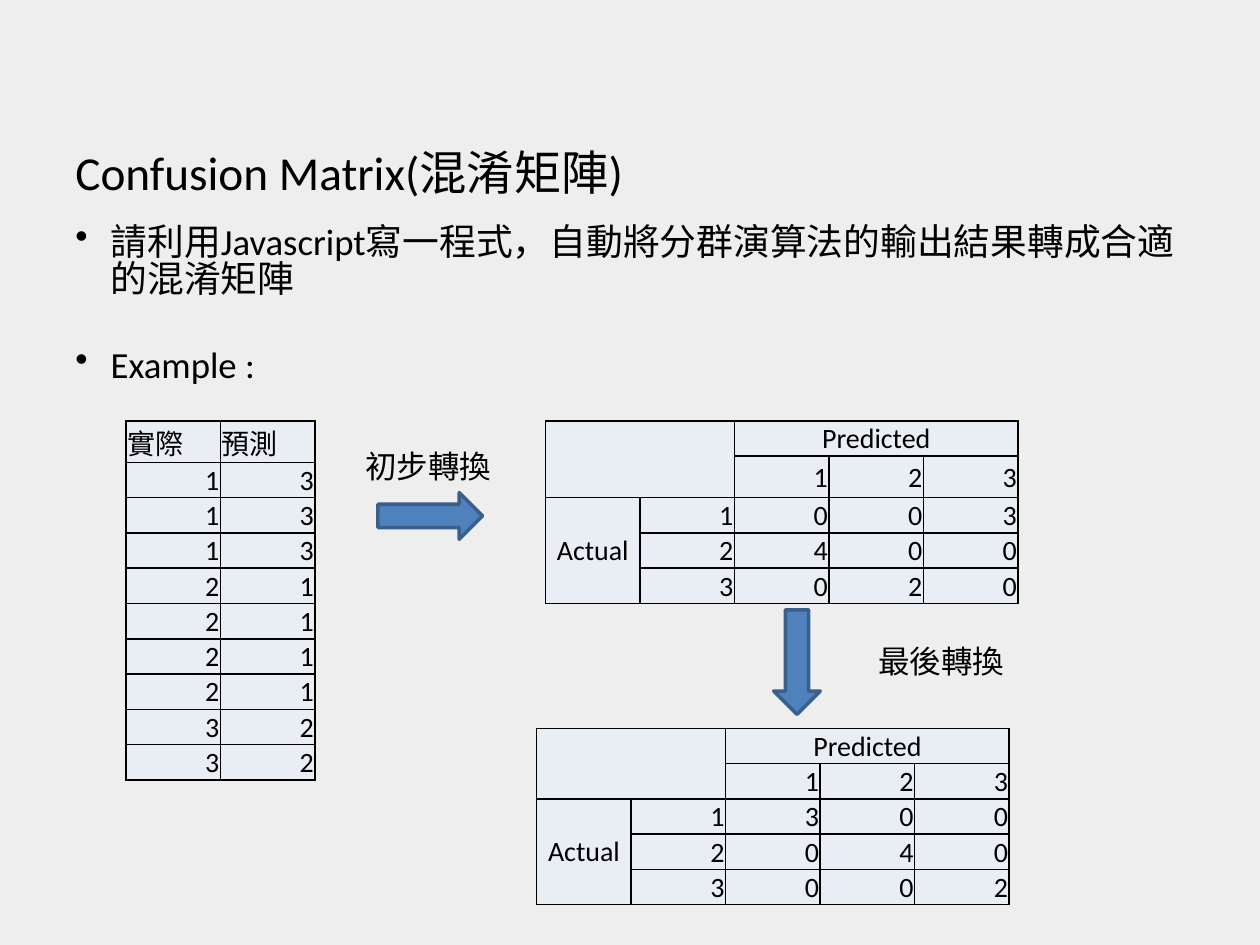
from lxml import etree
from pptx import Presentation
from pptx.dml.color import RGBColor
from pptx.enum.shapes import MSO_SHAPE
from pptx.enum.text import MSO_ANCHOR, PP_ALIGN
from pptx.oxml.ns import qn
from pptx.util import Inches, Pt

COLORS = {"background": "EEEEEE", "text": "000000", "cell": "E9EDF4",
          "border": "000000", "arrow": "4F81BD", "outline": "3A5F8C"}
COLUMN_WIDTH = 0.75
ROW_HEIGHT = 0.28
TALL_ROW = 0.33


def rgb(name):
    """Return the named colour."""
    return RGBColor.from_string(COLORS[name])


class Deck:
    """Holds the style and the current slide."""

    font = "Calibri"

    def __init__(self):
        """Start a presentation with one blank slide."""
        self.presentation = Presentation()
        self.presentation.slide_width = Inches(10)
        self.presentation.slide_height = Inches(7.5)
        self.slide = self.presentation.slides.add_slide(self.presentation.slide_layouts[6])
        background = self.slide.background.fill
        background.solid()
        background.fore_color.rgb = rgb("background")

    def style(self, paragraph, size, align=PP_ALIGN.LEFT):
        """Apply font, size, colour and alignment to a paragraph."""
        paragraph.alignment = align
        for font in [paragraph.font] + [run.font for run in paragraph.runs]:
            font.name, font.size = self.font, Pt(size)
            font.color.rgb = rgb("text")

    def text(self, box, content, size, anchor=MSO_ANCHOR.TOP, wrap=True):
        """Add a text box and return its paragraphs."""
        frame = self.slide.shapes.add_textbox(*map(Inches, box)).text_frame
        frame.word_wrap = wrap
        frame.vertical_anchor = anchor
        frame.text = content
        for paragraph in frame.paragraphs:
            self.style(paragraph, size)
        return frame.paragraphs

    def bullets(self, box, items, size, gap):
        """Add a bulleted list with a gap between its items."""
        for index, paragraph in enumerate(self.text(box, "\n".join(items), size)):
            paragraph.line_spacing = 0.83
            paragraph.space_before = Pt(gap if index else 0)
            properties = paragraph._p.get_or_add_pPr()
            properties.set("marL", str(Inches(0.28)))
            properties.set("indent", str(Inches(-0.28)))
            bullet = etree.Element(qn("a:buChar"), char="•")
            properties.insert_element_before(bullet, "a:tabLst", "a:defRPr", "a:extLst")

    def arrow(self, box, rotation=0):
        """Add a block arrow."""
        arrow = self.slide.shapes.add_shape(MSO_SHAPE.RIGHT_ARROW, *map(Inches, box))
        arrow.rotation = rotation
        arrow.shadow.inherit = False
        arrow.fill.solid()
        arrow.fill.fore_color.rgb = rgb("arrow")
        arrow.line.color.rgb = rgb("outline")
        arrow.line.width = Pt(2)

    def border(self, cell):
        """Draw the four borders of a cell."""
        properties = cell._tc.get_or_add_tcPr()
        for index, side in enumerate(("a:lnL", "a:lnR", "a:lnT", "a:lnB")):
            line = etree.Element(qn(side), w=str(Pt(1)))
            fill = etree.SubElement(line, qn("a:solidFill"))
            etree.SubElement(fill, qn("a:srgbClr"), val=COLORS["border"])
            properties.insert(index, line)

    def table(self, left, top, rows, heights, merges=()):
        """Add a bordered table; numbers align right, merged labels centre."""
        table = self.slide.shapes.add_table(
            len(rows), len(rows[0]), Inches(left), Inches(top),
            Inches(COLUMN_WIDTH * len(rows[0])), Inches(sum(heights))).table
        for column in table.columns:
            column.width = Inches(COLUMN_WIDTH)
        for row, height, values in zip(table.rows, heights, rows):
            row.height = Inches(height)
            for cell, value in zip(row.cells, values):
                cell.text = str(value)
                cell.margin_left = cell.margin_right = cell.margin_top = Inches(0.01)
                cell.margin_bottom = 0
                cell.vertical_anchor = MSO_ANCHOR.MIDDLE
                cell.fill.solid()
                cell.fill.fore_color.rgb = rgb("cell")
                align = PP_ALIGN.RIGHT if isinstance(value, int) else PP_ALIGN.LEFT
                self.style(cell.text_frame.paragraphs[0], 16, align)
                self.border(cell)
        for first, last in merges:
            label = table.cell(*first)
            label.merge(table.cell(*last))
            label.text_frame.paragraphs[0].alignment = PP_ALIGN.CENTER

    def confusion_matrix(self, left, top, counts, heights):
        """Add a matrix of actual against predicted classes."""
        rows = [["", "", "Predicted", "", ""], ["", "", 1, 2, 3]]
        for number, values in enumerate(counts, 1):
            rows.append(["Actual" if number == 1 else "", number, *values])
        merges = [((0, 0), (1, 1)), ((0, 2), (0, 4)), ((2, 0), (4, 0))]
        self.table(left, top, rows, heights, merges)


deck = Deck()
deck.bullets((0.5, 1.75, 9, 4.95),
             ["請利用Javascript寫一程式，自動將分群演算法的輸出結果轉成合適的混淆矩陣",
              "Example :"], 21, gap=28)
deck.text((0.5, 0.39, 9, 1.25), "Confusion Matrix(混淆矩陣)", 27, MSO_ANCHOR.BOTTOM)

outcomes = [(1, 3)] * 3 + [(2, 1)] * 4 + [(3, 2)] * 2
deck.table(1, 3.34, [("實際", "預測")] + outcomes,
           [TALL_ROW] + [ROW_HEIGHT] * len(outcomes))
deck.confusion_matrix(4.33, 3.34, [(0, 0, 3), (4, 0, 0), (0, 2, 0)],
                      [ROW_HEIGHT, TALL_ROW] + [ROW_HEIGHT] * 3)
deck.arrow((3, 3.91, 0.83, 0.37))
deck.text((2.8, 3.5, 1.21, 0.4), "初步轉換", 18, wrap=False)
deck.arrow((5.91, 5.07, 0.83, 0.37), rotation=90)
deck.confusion_matrix(4.26, 5.78, [(3, 0, 0), (0, 4, 0), (0, 0, 2)], [ROW_HEIGHT] * 5)
deck.text((6.87, 5.05, 1.21, 0.4), "最後轉換", 18, wrap=False)

deck.presentation.save("out.pptx")
